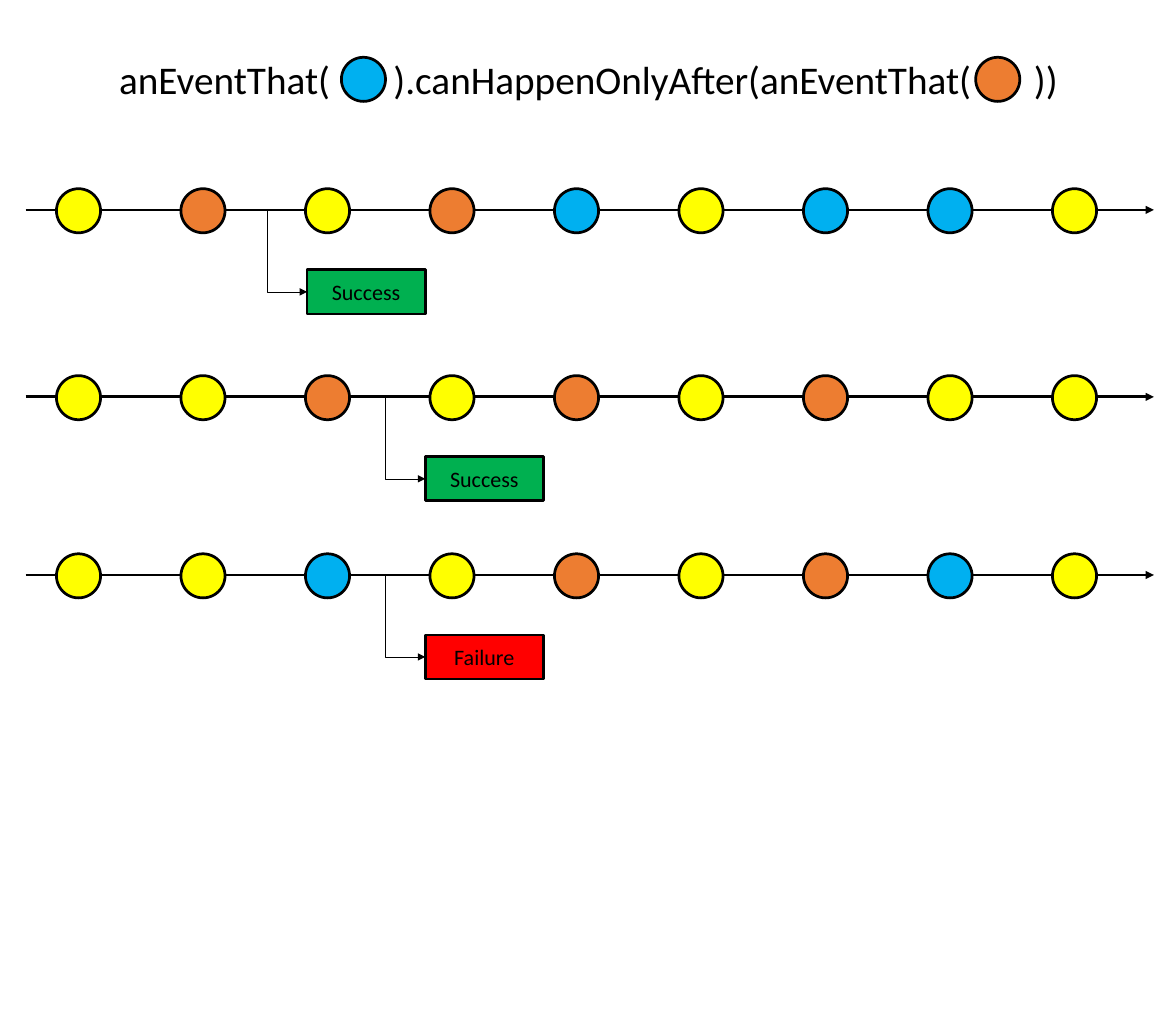
from pptx import Presentation
from pptx.dml.color import RGBColor
from pptx.enum.shapes import MSO_CONNECTOR as CONN, MSO_SHAPE as SHAPE
from pptx.enum.text import MSO_ANCHOR, PP_ALIGN
from pptx.oxml.ns import qn
from pptx.util import Inches, Pt
from lxml.etree import SubElement

BLACK = RGBColor(0x00, 0x00, 0x00)
WHITE = RGBColor(0xFF, 0xFF, 0xFF)
YELLOW = RGBColor(0xFF, 0xFF, 0x00)
ORANGE = RGBColor(0xED, 0x7D, 0x31)
BLUE = RGBColor(0x00, 0xB0, 0xF0)
GREEN = RGBColor(0x00, 0xB0, 0x50)
RED = RGBColor(0xFF, 0x00, 0x00)
MARBLES = {"Y": YELLOW, "O": ORANGE, "B": BLUE}

TITLE = "anEventThat(\t).canHappenOnlyAfter(anEventThat(\t))"
TITLE_TABS = (3.11, 10.37)
TITLE_MARBLES = ((3.87, BLUE), (11.06, ORANGE))

# axis y, marble colours, verdict, verdict colour, verdict left
TIMELINES = [
    (2.38, "YOYOBYBBY", "Success", GREEN, 3.48),
    (4.50, "YYOYOYOYY", "Success", GREEN, 4.82),
    (6.52, "YYBYOYOBY", "Failure", RED, 4.82),
]

AXIS_LEFT, AXIS_RIGHT = 0.29, 13.08
MARBLE = 0.5
FIRST_MARBLE, LAST_MARBLE = 0.64, 11.93
BOX_W, BOX_H, BOX_DROP = 1.34, 0.5, 0.68
ELBOW_W = 0.45


def add_box(s, kind, x, y, w, h, fill, line=BLACK, weight=2.25):
    sp = s.shapes.add_shape(kind, Inches(x), Inches(y), Inches(w), Inches(h))
    sp.shadow.inherit = False
    sp.fill.solid()
    sp.fill.fore_color.rgb = fill
    sp.line.color.rgb = line
    sp.line.width = Pt(weight)
    return sp


def add_marble(s, x, y, color):
    add_box(s, SHAPE.OVAL, x, y, MARBLE, MARBLE, color)


def write(sp, text, size, align):
    tf = sp.text_frame
    tf.text = text
    tf.vertical_anchor = MSO_ANCHOR.MIDDLE
    p = tf.paragraphs[0]
    p.alignment = align
    font = p.runs[0].font
    font.name, font.size, font.color.rgb = "Calibri", Pt(size), BLACK
    return p


def add_arrow(s, kind, x1, y1, x2, y2, weight):
    c = s.shapes.add_connector(kind, Inches(x1), Inches(y1), Inches(x2), Inches(y2))
    c.line.color.rgb = BLACK
    c.line.width = Pt(weight)
    SubElement(c.line._get_or_add_ln(), qn("a:tailEnd"), type="triangle")
    SubElement(c._element.spPr, qn("a:effectLst"))
    return c


def add_elbow(s, x, y, w, h):
    """Arrow going down by h and then right by w: a flipped bend turned by 270 degrees."""
    cx, cy = x + w / 2, y + h / 2
    c = add_arrow(s, CONN.ELBOW, cx + h / 2, cy - w / 2, cx - h / 2, cy + w / 2, 0.5)
    spPr = c._element.spPr
    spPr.find(qn("a:xfrm")).set("rot", str(270 * 60000))
    spPr.find(qn("a:prstGeom")).set("prst", "bentConnector2")


def add_title(s):
    sp = add_box(s, SHAPE.RECTANGLE, AXIS_LEFT, 0.28, 12.79, 1.23, WHITE, WHITE, 1.5)
    sp.text_frame.margin_left = Inches(1.06)
    p = write(sp, TITLE, 32, PP_ALIGN.LEFT)
    tabs = SubElement(p._p.get_or_add_pPr(), qn("a:tabLst"))
    for pos in TITLE_TABS:
        SubElement(tabs, qn("a:tab"), pos=str(Inches(pos)), algn="l")
    for x, color in TITLE_MARBLES:
        add_marble(s, x, 0.65, color)


def add_timeline(s, axis, marbles, verdict, color, box_x):
    add_arrow(s, CONN.STRAIGHT, AXIS_LEFT, axis, AXIS_RIGHT, axis, 2.25)
    pitch = (LAST_MARBLE - FIRST_MARBLE) / (len(marbles) - 1)
    for i, key in enumerate(marbles):
        add_marble(s, FIRST_MARBLE + i * pitch, axis - 0.24, MARBLES[key])
    box = add_box(s, SHAPE.RECTANGLE, box_x, axis + BOX_DROP, BOX_W, BOX_H, color)
    write(box, verdict, 18, PP_ALIGN.CENTER)
    add_elbow(s, box_x - ELBOW_W, axis, ELBOW_W, BOX_DROP + BOX_H / 2)


def main():
    prs = Presentation()
    prs.slide_width, prs.slide_height = Inches(13.33), Inches(11.6)
    s = prs.slides.add_slide(prs.slide_layouts[6])
    add_title(s)
    for timeline in TIMELINES:
        add_timeline(s, *timeline)
    prs.save("out.pptx")


if __name__ == "__main__":
    main()
